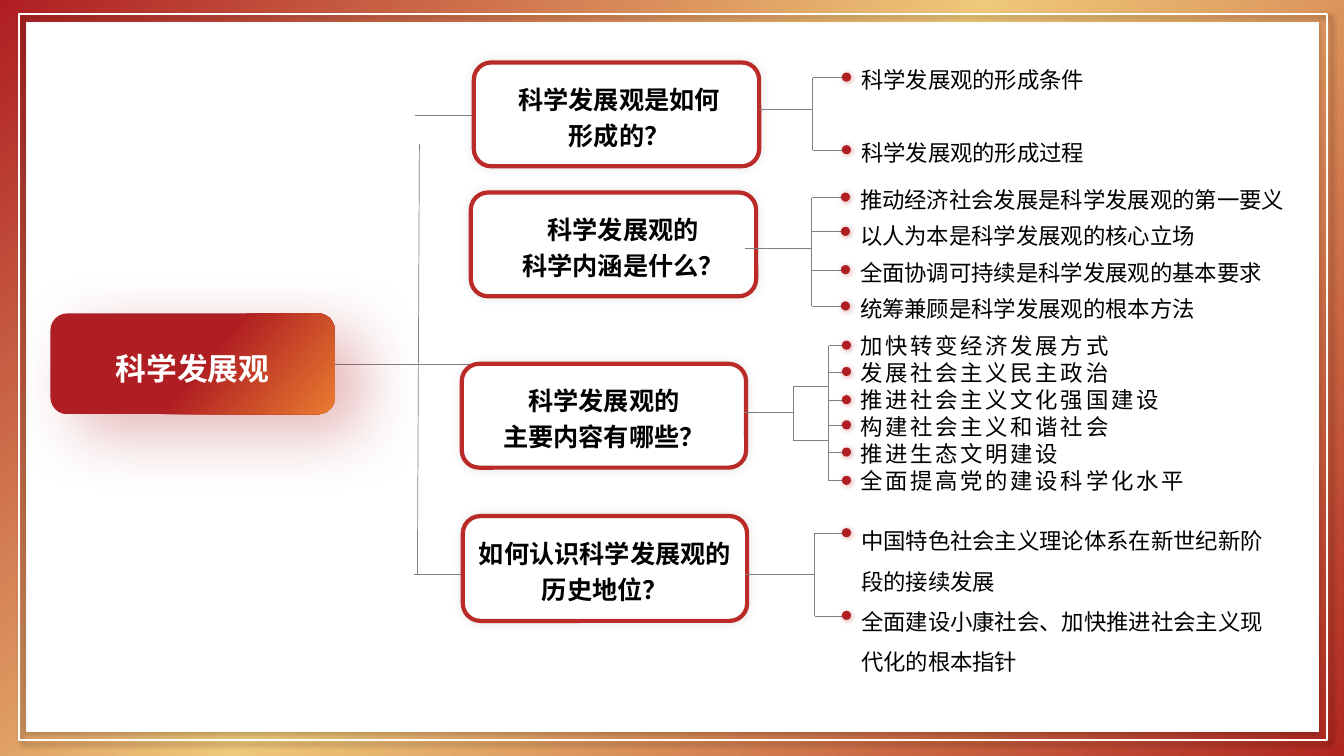
import pptx
import pptx.util
import pptx.dml.color
import pptx.enum.shapes
import pptx.enum.text
import pptx.oxml.ns
from lxml import etree

PX = 9144  # EMU per px, 100 px to the inch
FONT = "Noto Sans CJK SC"
COLOURS = {
    "red": "AF1E22", "brick": "B0261F", "gold": "EFC879", "orange": "E97C30",
    "border": "BA2A26", "cream": "FFFDFA", "white": "FFFFFF",
    "black": "000000", "grey": "808080",
}
SHAPE = pptx.enum.shapes.MSO_SHAPE
ALIGN = pptx.enum.text.PP_ALIGN
ANCHOR = pptx.enum.text.MSO_ANCHOR
qn = pptx.oxml.ns.qn

# box (left, top, width, height), side margins, paragraphs
QUESTIONS = [
    ((470, 62, 283, 103), (30, 25), ["科学发展观是如何形成的？"]),
    ((467, 191, 283, 103), (37, 18), ["科学发展观的", "科学内涵是什么？"]),
    ((458, 361, 282, 103), (10, 10), ["科学发展观的", "主要内容有哪些？"]),
    ((459, 512, 282, 104), (10, 10), ["如何认识科学发展观的历史地位？"]),
]

# list box, (line height, gap, letter spacing) in points, items
ANSWERS = [
    ((844, 51, 381, 120), (26, 26, 0), ["科学发展观的形成条件", "科学发展观的形成过程"]),
    ((843, 170, 447, 155), (26, 0, 0), [
        "推动经济社会发展是科学发展观的第一要义", "以人为本是科学发展观的核心立场",
        "全面协调可持续是科学发展观的基本要求", "统筹兼顾是科学发展观的根本方法"]),
    ((843, 324, 360, 172), (19.3, 0, 2), [
        "加快转变经济发展方式", "发展社会主义民主政治", "推进社会主义文化强国建设",
        "构建社会主义和谐社会", "推进生态文明建设", "全面提高党的建设科学化水平"]),
    ((844, 505, 431, 172), (28.8, 0, 0), [
        "中国特色社会主义理论体系在新世纪新阶段的接续发展",
        "全面建设小康社会、加快推进社会主义现代化的根本指针"]),
]

# stem start, stem height, spine x, branch heights, branch end, dots
BRACKETS = [
    (753, 109, 806, [77, 149], 840, True),
    (739, 246, 805, [196, 230, 268, 304], 839, True),
    (738, 409, 787, [383, 437], 822, False),
    (None, None, 822, [343, 369, 397, 422, 449, 477], 840, True),
    (739, 570, 808, [529, 611], 840, True),
]

TRUNK = [
    (332, 361, 470, 361), (412, 114, 472, 114),
    (414, 570, 416, 143), (411, 570, 470, 570),
]


def emu(*lengths):
    return [pptx.util.Emu(v * PX) for v in lengths]


def rgb(name):
    return pptx.dml.color.RGBColor.from_string(COLOURS[name])


def add_colour(parent, name):
    return etree.SubElement(parent, qn("a:srgbClr"), val=COLOURS[name])


def set_gradient(sp, stops, angle):
    sp.fill.gradient()
    grad = sp._element.spPr.find(qn("a:gradFill"))
    grad.find(qn("a:lin")).set("ang", str(angle * 60000))
    stop_list = grad.find(qn("a:gsLst"))
    for old in list(stop_list):
        stop_list.remove(old)
    for percent, name in stops:
        add_colour(etree.SubElement(stop_list, qn("a:gs"), pos=str(percent * 1000)), name)


def set_shadow(sp, name, opacity, blur, distance, angle):
    """Outer shadow: opacity in percent, blur and distance in points."""
    sp.shadow.inherit = False
    effects = sp._element.spPr.find(qn("a:effectLst"))
    shadow = etree.SubElement(
        effects, qn("a:outerShdw"), blurRad=str(blur * 12700), dist=str(distance * 12700),
        dir=str(angle * 60000), algn="ctr", rotWithShape="0")
    etree.SubElement(add_colour(shadow, name), qn("a:alpha"), val=str(opacity * 1000))


def add_block(s, kind, box, fill=None, line=None, width=0, shadow=None):
    sp = s.shapes.add_shape(kind, *emu(*box))
    if fill:
        sp.fill.solid()
        sp.fill.fore_color.rgb = rgb(fill)
    else:
        sp.fill.background()
    if line:
        sp.line.color.rgb = rgb(line)
        sp.line.width = pptx.util.Pt(width)
    else:
        sp.line.fill.background()
    if shadow:
        set_shadow(sp, *shadow)
    else:
        sp.shadow.inherit = False
    return sp


def add_line(s, x1, y1, x2, y2):
    line = s.shapes.add_connector(
        pptx.enum.shapes.MSO_CONNECTOR.STRAIGHT, *emu(x1, y1, x2, y2))
    line.line.color.rgb = rgb("grey")
    line.line.width = pptx.util.Pt(0.5)
    etree.SubElement(line._element.spPr, qn("a:effectLst"))


def add_bracket(s, start, middle, spine, heights, end, dots):
    if start:
        add_line(s, start, middle, spine, middle)
    add_line(s, spine, heights[0], spine, heights[-1])
    for y in heights:
        add_line(s, spine, y, end, y)
        if dots:
            add_block(s, SHAPE.OVAL, (end - 5, y - 5, 9, 9), "red",
                      shadow=("red", 40, 4, 1, 45))


def write(tf, lines, size, colour, line, gap=0, spacing=0, bold=False, align=ALIGN.LEFT):
    tf.word_wrap = True
    tf.auto_size = pptx.enum.text.MSO_AUTO_SIZE.NONE
    for i, text in enumerate(lines):
        p = tf.paragraphs[0] if i == 0 else tf.add_paragraph()
        pPr = p._p.get_or_add_pPr()
        pPr.set("marL", "0")
        pPr.set("indent", "0")
        etree.SubElement(pPr, qn("a:buNone"))
        p.alignment = align
        p.line_spacing = pptx.util.Pt(line)
        p.space_before = pptx.util.Pt(gap if i else 0)
        r = p.add_run()
        r.text = text
        r.font.size = pptx.util.Pt(size)
        r.font.bold = bold
        r.font.color.rgb = rgb(colour)
        r.font.name = FONT
        rPr = r._r.get_or_add_rPr()
        etree.SubElement(rPr, qn("a:ea"), typeface=FONT)
        if spacing:
            rPr.set("spc", str(spacing * 100))


def place(s, sp, box, anchor):
    """Move a placeholder to its box and in front of what is drawn so far."""
    sp.left, sp.top, sp.width, sp.height = emu(*box)
    sp.text_frame.vertical_anchor = anchor
    s.shapes._spTree.append(sp._element)


def add_frame(s):
    back = add_block(s, SHAPE.RECTANGLE, (0, 0, 1333, 750))
    set_gradient(back, [(0, "brick"), (53, "gold"), (100, "red")], 225)
    add_block(s, SHAPE.RECTANGLE, (26, 22, 1282, 704), "white",
              shadow=("black", 20, 4, 3, 90))
    add_block(s, SHAPE.RECTANGLE, (19, 14, 1297, 720), line="cream", width=1.5,
              shadow=("black", 40, 4, 3, 45))


def add_topic(s, text):
    box = (50, 311, 282, 100)
    card = add_block(s, SHAPE.ROUNDED_RECTANGLE, box, shadow=("red", 33, 46, 23, 35))
    set_gradient(card, [(52, "red"), (100, "orange")], 40)
    place(s, s.shapes.title, box, ANCHOR.MIDDLE)
    write(s.shapes.title.text_frame, [text], 22, "white", 32, bold=True, align=ALIGN.CENTER)


def add_question(s, box, margins, lines):
    sp = add_block(s, SHAPE.ROUNDED_RECTANGLE, box, "white", "border", 3,
                   ("grey", 20, 6, 0, 315))
    tf = sp.text_frame
    tf.margin_left, tf.margin_right = emu(*margins)
    tf.vertical_anchor = ANCHOR.MIDDLE
    write(tf, lines, 18, "black", 25.7, bold=True, align=ALIGN.CENTER)


def main():
    prs = pptx.Presentation()
    prs.slide_width, prs.slide_height = emu(1333, 750)
    s = prs.slides.add_slide(prs.slide_layouts.get_by_name("Comparison"))
    bodies = [sp for sp in s.placeholders if sp.placeholder_format.idx > 0]
    add_frame(s)
    for ends in TRUNK:
        add_line(s, *ends)
    add_topic(s, "科学发展观")
    for question in QUESTIONS:
        add_question(s, *question)
    for bracket in BRACKETS:
        add_bracket(s, *bracket)
    for body, (box, (line, gap, spacing), items) in zip(bodies, ANSWERS):
        place(s, body, box, ANCHOR.TOP)
        write(body.text_frame, items, 16, "black", line, gap, spacing)
    prs.save("out.pptx")


if __name__ == "__main__":
    main()
